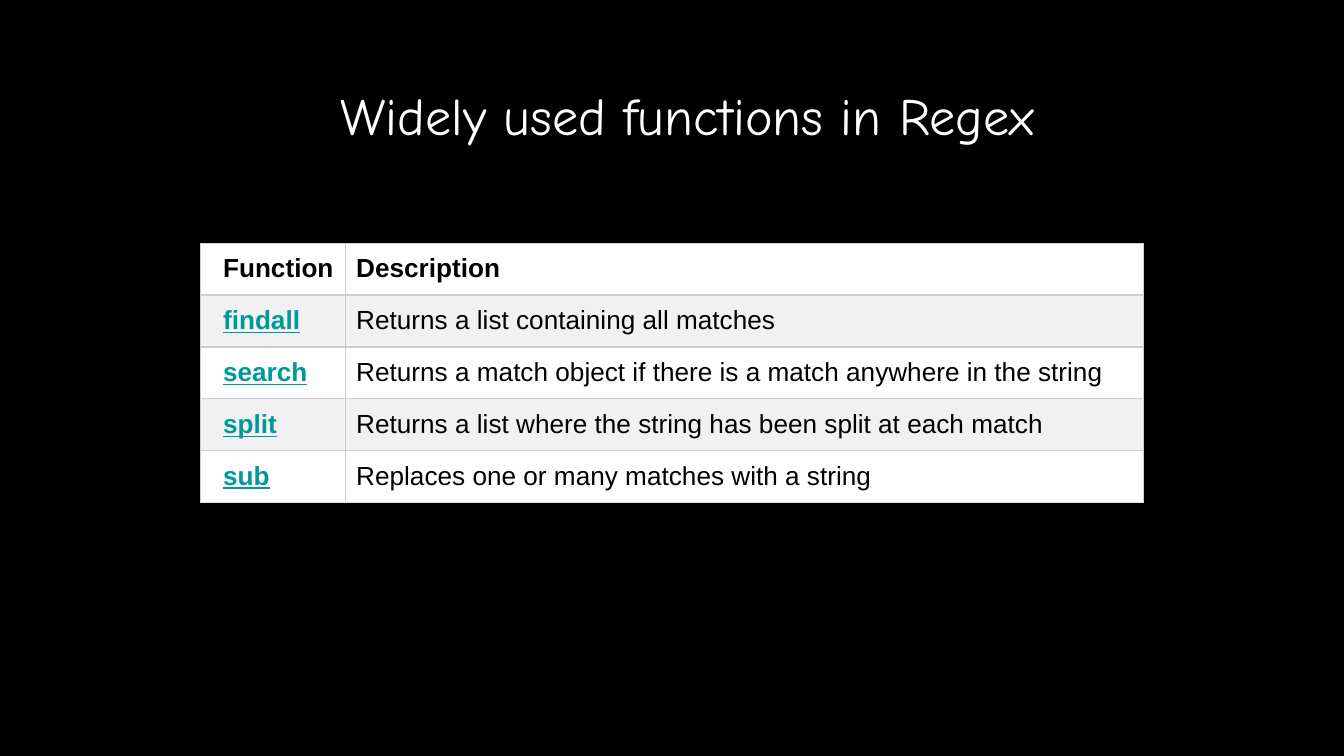
from pptx import Presentation
from pptx.dml.color import RGBColor
from pptx.enum import text
from pptx.oxml import parse_xml
from pptx.oxml.ns import nsdecls
from pptx.util import Inches, Pt

BLACK = RGBColor(0x00, 0x00, 0x00)
WHITE = RGBColor(0xFF, 0xFF, 0xFF)
STRIPE = RGBColor(0xF1, 0xF1, 0xF1)
TEAL = RGBColor(0x00, 0x99, 0x99)
GRID = RGBColor(0xCC, 0xCC, 0xCC)
LAST_EDGE = RGBColor(0xDD, 0xDD, 0xDD)

ROWS = [
    ("Function", "Description"),
    ("findall", "Returns a list containing all matches"),
    ("search", "Returns a match object if there is a match anywhere in the string"),
    ("split", "Returns a list where the string has been split at each match"),
    ("sub", "Replaces one or many matches with a string"),
]


def write(frame, words, font="Arial", size=14, color=BLACK, bold=False,
          underline=False, align=text.PP_ALIGN.LEFT):
    paragraph = frame.paragraphs[0]
    paragraph.alignment = align
    run = paragraph.add_run()
    run.text = words
    run.font.name = font
    run.font.size = Pt(size)
    run.font.color.rgb = color
    run.font.bold = bold
    run.font.underline = underline


def add_borders(cell, bottom):
    properties = cell._tc.get_or_add_tcPr()
    edges = [("L", GRID), ("R", GRID), ("T", GRID), ("B", bottom)]
    for position, (side, color) in enumerate(edges):
        properties.insert(position, parse_xml(
            f'<a:ln{side} {nsdecls("a")} w="{Pt(0.75)}"><a:solidFill>'
            f'<a:srgbClr val="{color}"/></a:solidFill></a:ln{side}>'))


deck = Presentation()
deck.slide_width = Inches(10)
deck.slide_height = deck.slide_width * 9 // 16
slide = deck.slides.add_slide(deck.slide_layouts[5])
slide.background.fill.solid()
slide.background.fill.fore_color.rgb = BLACK

title = slide.shapes.title
title.left, title.top = Inches(0.71), Inches(0.15)
title.width, title.height = Inches(8.57), Inches(1.41)
heading = title.text_frame
heading.word_wrap = True
heading.auto_size = text.MSO_AUTO_SIZE.NONE
heading.vertical_anchor = text.MSO_ANCHOR.MIDDLE
heading.margin_left = Inches(0.3)
heading.margin_right = heading.margin_top = heading.margin_bottom = Inches(0.06)
write(heading, "Widely used functions in Regex", font="Comic Neue", size=28,
      color=WHITE, align=text.PP_ALIGN.CENTER)

table_height = Inches(1.93)
functions = slide.shapes.add_table(
    len(ROWS), 2, Inches(1.49), Inches(1.81), Inches(7.02), table_height).table
functions.columns[0].width = Inches(1.08)
functions.columns[1].width = Inches(5.94)

for r, row in enumerate(ROWS):
    functions.rows[r].height = table_height // len(ROWS)
    for c, words in enumerate(row):
        cell = functions.cell(r, c)
        is_name = r > 0 and c == 0
        cell.margin_left = Inches(0.17 if c == 0 else 0.08)
        cell.margin_right = Inches(0.07)
        cell.margin_top = cell.margin_bottom = Inches(0.08)
        cell.fill.solid()
        cell.fill.fore_color.rgb = STRIPE if r % 2 else WHITE
        add_borders(cell, LAST_EDGE if r == len(ROWS) - 1 else GRID)
        write(cell.text_frame, words, color=TEAL if is_name else BLACK,
              bold=r == 0 or c == 0, underline=is_name)

deck.save("out.pptx")
